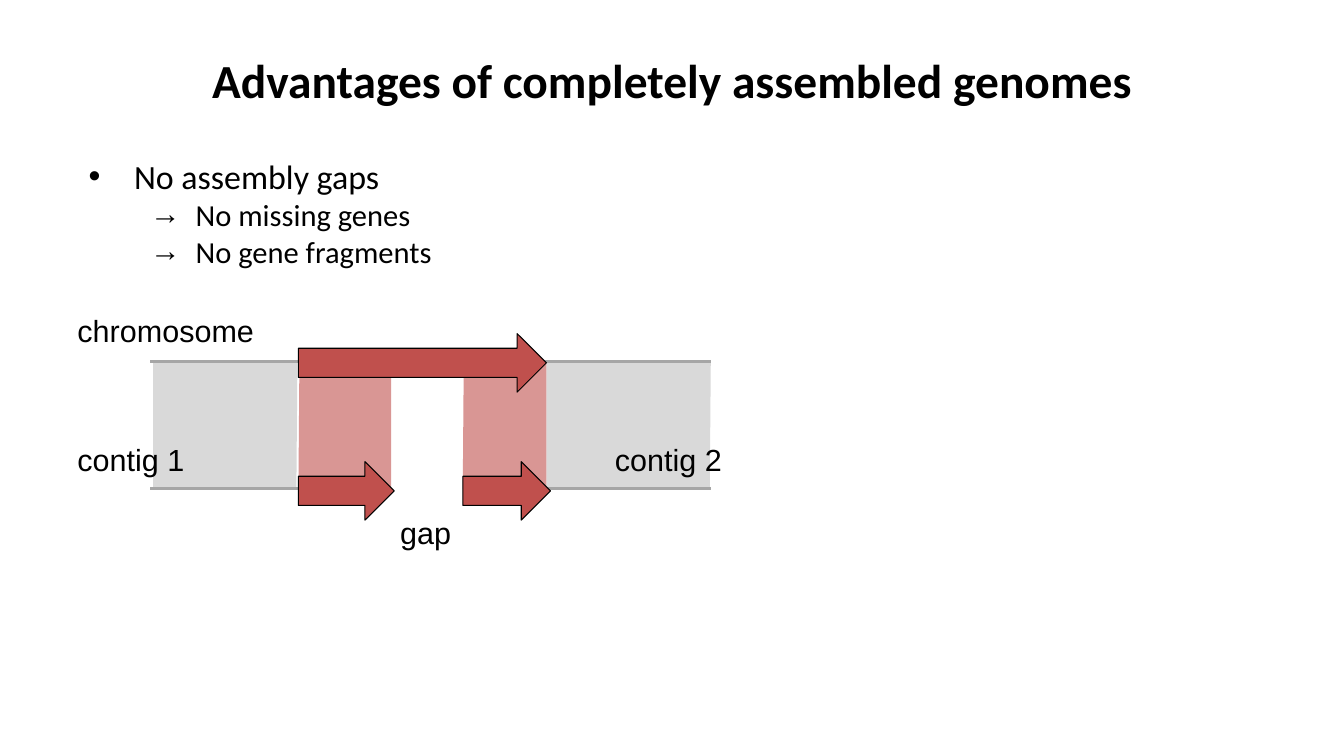
from dataclasses import dataclass

from lxml import etree
from pptx import Presentation
from pptx.dml.color import RGBColor
from pptx.enum.shapes import MSO_CONNECTOR, MSO_SHAPE
from pptx.enum.text import MSO_ANCHOR, MSO_AUTO_SIZE, PP_ALIGN
from pptx.oxml.ns import qn
from pptx.util import Inches, Pt

RIGHT_ARROW = MSO_SHAPE.RIGHT_ARROW
STRAIGHT = MSO_CONNECTOR.STRAIGHT
MIDDLE, TOP = MSO_ANCHOR.MIDDLE, MSO_ANCHOR.TOP
CENTER, LEFT = PP_ALIGN.CENTER, PP_ALIGN.LEFT
NO_AUTOFIT = MSO_AUTO_SIZE.NONE
FIT_SHAPE = MSO_AUTO_SIZE.SHAPE_TO_FIT_TEXT


@dataclass(frozen=True)
class Theme:
    ink: RGBColor = RGBColor(0x00, 0x00, 0x00)
    strand: RGBColor = RGBColor(0xA6, 0xA6, 0xA6)
    flank: RGBColor = RGBColor(0xD9, 0xD9, 0xD9)
    gene: RGBColor = RGBColor(0xC0, 0x50, 0x4D)
    gene_match: RGBColor = RGBColor(0xD9, 0x96, 0x94)
    heading_font: str = "Calibri"
    label_font: str = "Arial"
    title_size: float = 33.9
    bullet_size: float = 24.2
    detail_size: float = 21.8
    strand_width: float = 2
    outline_width: float = 0.75


THEME = Theme()
CHROMOSOME_Y, CONTIG_Y = 3.59, 4.85
STRAND_LEFT, STRAND_RIGHT = 1.49, 7.05
GENE_LEFT, GENE_RIGHT = 2.96, 5.42
GAP_LEFT, GAP_RIGHT = 3.88, 4.59
GENE_HEIGHT = 0.58
LABEL_LEFT, LABEL_HEIGHT = 0.67, 0.47
BULLET_INDENT = 0.45


def style_font(font, name, size, bold=False):
    font.name, font.size, font.bold = name, Pt(size), bold
    font.color.rgb = THEME.ink


def place(shape, left, top, width, height):
    shape.left, shape.top = Inches(left), Inches(top)
    shape.width, shape.height = Inches(width), Inches(height)


def set_margins(frame, side, end):
    frame.margin_left = frame.margin_right = Inches(side)
    frame.margin_top = frame.margin_bottom = Inches(end)


def fill_title(title, text):
    place(title, 0.67, 0.16, 12, 1.25)
    frame = title.text_frame
    frame.text = text
    frame.auto_size, frame.vertical_anchor = NO_AUTOFIT, MIDDLE
    set_margins(frame, 0, 0)
    paragraph = frame.paragraphs[0]
    paragraph.alignment = CENTER
    style_font(paragraph.runs[0].font, THEME.heading_font, THEME.title_size, True)


def set_bullet(paragraph, symbol, margin):
    properties = paragraph._p.get_or_add_pPr()
    properties.set("marL", str(Inches(margin)))
    properties.set("indent", str(-Inches(BULLET_INDENT)))
    etree.SubElement(properties, qn("a:buFont")).set("typeface", THEME.label_font)
    etree.SubElement(properties, qn("a:buChar")).set("char", symbol)


def fill_bullets(body, items):
    """Write (level, text) items as a two-level list."""
    levels = [("•", BULLET_INDENT, THEME.bullet_size), ("→", 1.06, THEME.detail_size)]
    place(body, 0.76, 1.48, 7.71, 1.57)
    frame = body.text_frame
    frame.text = "\n".join(text for _, text in items)
    frame.auto_size, frame.vertical_anchor = NO_AUTOFIT, TOP
    set_margins(frame, 0.12, 0.06)
    for paragraph, (level, _) in zip(frame.paragraphs, items):
        symbol, margin, size = levels[level]
        paragraph.level, paragraph.alignment = level, LEFT
        paragraph.space_before = Pt(0)
        set_bullet(paragraph, symbol, margin)
        style_font(paragraph.runs[0].font, THEME.heading_font, size)


def add_match(page, corners, color):
    """Shade the area between matching stretches of chromosome and contig."""
    points = [(Inches(x), Inches(y)) for x, y in corners]
    builder = page.shapes.build_freeform(*points[0])
    builder.add_line_segments(points[1:], close=True)
    area = builder.convert_to_shape()
    area.shadow.inherit = False
    area.fill.solid()
    area.fill.fore_color.rgb = color
    area.line.fill.background()


def add_strand(page, left, right, y):
    strand = page.shapes.add_connector(
        STRAIGHT, Inches(left), Inches(y), Inches(right), Inches(y))
    strand.line.color.rgb = THEME.strand
    strand.line.width = Pt(THEME.strand_width)
    etree.SubElement(strand._element.spPr, qn("a:effectLst"))


def add_gene(page, left, width, top):
    gene = page.shapes.add_shape(
        RIGHT_ARROW, Inches(left), Inches(top), Inches(width), Inches(GENE_HEIGHT))
    gene.shadow.inherit = False
    gene.fill.solid()
    gene.fill.fore_color.rgb = THEME.gene
    gene.line.color.rgb = THEME.ink
    gene.line.width = Pt(THEME.outline_width)


def add_label(page, text, left, top, width):
    box = page.shapes.add_textbox(
        Inches(left), Inches(top), Inches(width), Inches(LABEL_HEIGHT))
    frame = box.text_frame
    frame.text = text
    frame.word_wrap, frame.auto_size = False, FIT_SHAPE
    style_font(frame.paragraphs[0].runs[0].font, THEME.label_font, THEME.detail_size)


def draw_assembly(page):
    matches = [
        (GENE_RIGHT, GENE_RIGHT, STRAND_RIGHT, 7.04, THEME.flank),
        (1.52, 1.52, 2.95, 2.94, THEME.flank),
        (GAP_RIGHT, 4.6, GENE_RIGHT, GENE_RIGHT, THEME.gene_match),
        (GENE_LEFT, 2.97, GAP_LEFT, GAP_LEFT, THEME.gene_match),
    ]
    for bottom_left, top_left, top_right, bottom_right, color in matches:
        add_match(page, [(bottom_left, CONTIG_Y), (top_left, CHROMOSOME_Y),
                         (top_right, CHROMOSOME_Y), (bottom_right, CONTIG_Y)], color)

    for left, right, y in [(STRAND_LEFT, STRAND_RIGHT, CHROMOSOME_Y),
                           (STRAND_LEFT, 3.63, CONTIG_Y),
                           (4.63, STRAND_RIGHT, CONTIG_Y)]:
        add_strand(page, left, right, y)

    for left, width, top in [(GENE_LEFT, GENE_RIGHT - GENE_LEFT, 3.31),
                             (GENE_LEFT, 0.95, 4.58), (GAP_RIGHT, 0.87, 4.58)]:
        add_gene(page, left, width, top)

    for text, left, top, width in [("gap", 3.87, 5.05, 0.71),
                                   ("chromosome", LABEL_LEFT, 3.05, 1.97),
                                   ("contig 1", LABEL_LEFT, 4.33, 1.27),
                                   ("contig 2", 6, 4.33, 1.27)]:
        add_label(page, text, left, top, width)


def main():
    deck = Presentation()
    deck.slide_width, deck.slide_height = Inches(13.33), Inches(7.5)
    page = deck.slides.add_slide(deck.slide_layouts[1])
    fill_title(page.shapes.title, "Advantages of completely assembled genomes")
    fill_bullets(page.placeholders[1], [
        (0, "No assembly gaps"), (1, "No missing genes"), (1, "No gene fragments")])
    draw_assembly(page)
    deck.save("out.pptx")


if __name__ == "__main__":
    main()
